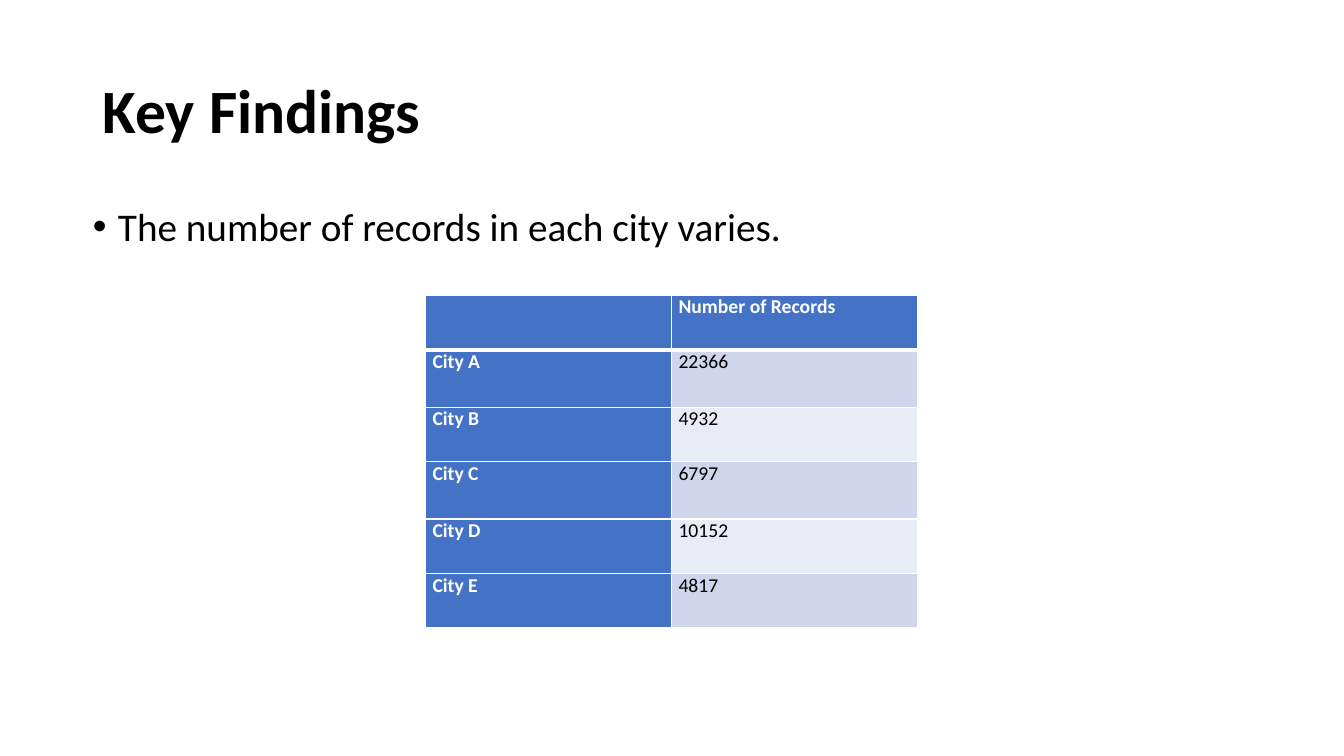
from dataclasses import dataclass

from lxml import etree
from pptx import Presentation
from pptx.dml.color import RGBColor
from pptx.enum.text import MSO_ANCHOR, MSO_AUTO_SIZE, PP_ALIGN
from pptx.oxml.ns import qn
from pptx.util import Inches, Pt

LEFT = PP_ALIGN.LEFT
TOP, MIDDLE = MSO_ANCHOR.TOP, MSO_ANCHOR.MIDDLE
NO_FIT = MSO_AUTO_SIZE.NONE


@dataclass(frozen=True)
class Theme:
    font: str = "Calibri"
    title: int = 44
    body: int = 28
    cell: int = 14
    text: str = "000000"
    white: str = "FFFFFF"
    accent: str = "4472C4"
    bands: tuple = ("CFD5EA", "E9EBF5")


THEME = Theme()
WIDTH, HEIGHT = 13.33, 7.5
TABLE_LEFT, TABLE_TOP, COLUMN = 4.22, 2.93, 2.44
ROWS = (0.54, 0.57, 0.54, 0.57, 0.54, 0.54)
RECORDS = (
    ("", "Number of Records"),
    ("City A", "22366"),
    ("City B", "4932"),
    ("City C", "6797"),
    ("City D", "10152"),
    ("City E", "4817"),
)


def style_runs(p, size, color, bold=False):
    for r in p.runs:
        r.font.name = THEME.font
        r.font.size = Pt(size)
        r.font.bold = bold
        r.font.color.rgb = RGBColor.from_string(color)


def fill_placeholder(sp, box, text, size, anchor, bold=False):
    sp.left, sp.top, sp.width, sp.height = map(Inches, box)
    tf = sp.text_frame
    tf.text = text
    tf.word_wrap = True
    tf.auto_size = NO_FIT
    tf.vertical_anchor = anchor
    p = tf.paragraphs[0]
    p.alignment = LEFT
    p.line_spacing = 0.9
    style_runs(p, size, THEME.text, bold)
    return p


def add_bullet(p, indent):
    p.space_before = Pt(10)
    pPr = p._p.get_or_add_pPr()
    pPr.set("marL", str(Inches(indent)))
    pPr.set("indent", str(-Inches(indent)))
    etree.SubElement(pPr, qn("a:buFont")).set("typeface", "Arial")
    etree.SubElement(pPr, qn("a:buChar")).set("char", "•")


def set_borders(cell, widths):
    tcPr = cell._tc.get_or_add_tcPr()
    for i, (side, width) in enumerate(widths.items()):
        ln = etree.Element(qn(f"a:ln{side}"), w=str(Pt(width)))
        fill = etree.SubElement(ln, qn("a:solidFill"))
        etree.SubElement(fill, qn("a:srgbClr")).set("val", THEME.white)
        tcPr.insert(i, ln)


def style_cell(cell, text, row, col):
    is_header = row == 0 or col == 0
    cell.text = text
    cell.margin_left = cell.margin_right = Inches(0.07)
    cell.margin_top = cell.margin_bottom = 0
    color = THEME.white if is_header else THEME.text
    style_runs(cell.text_frame.paragraphs[0], THEME.cell, color, is_header)
    cell.fill.solid()
    fill = THEME.accent if is_header else THEME.bands[(row - 1) % 2]
    cell.fill.fore_color.rgb = RGBColor.from_string(fill)
    # The rule under the header row is heavier
    top, bottom = (3 if row == 1 else 1), (3 if row == 0 else 1)
    set_borders(cell, {"L": 1, "R": 1, "T": top, "B": bottom})


def add_records_table(slide):
    columns = len(RECORDS[0])
    frame = slide.shapes.add_table(
        len(RECORDS), columns, Inches(TABLE_LEFT), Inches(TABLE_TOP),
        Inches(columns * COLUMN), Inches(sum(ROWS)))
    table = frame.table
    table.first_col = True
    for column in table.columns:
        column.width = Inches(COLUMN)
    for i, (height, values) in enumerate(zip(ROWS, RECORDS)):
        table.rows[i].height = Inches(height)
        for j, value in enumerate(values):
            style_cell(table.cell(i, j), value, i, j)


def main():
    prs = Presentation()
    prs.slide_width, prs.slide_height = Inches(WIDTH), Inches(HEIGHT)
    slide = prs.slides.add_slide(prs.slide_layouts[1])

    # Title and finding
    fill_placeholder(slide.shapes.title, (0.92, 0.4, 11.5, 1.45),
                     "Key Findings", THEME.title, MIDDLE, bold=True)
    p = fill_placeholder(slide.placeholders[1], (0.82, 2.01, 11.5, 4.76),
                         "The number of records in each city varies.",
                         THEME.body, TOP)
    add_bullet(p, 0.25)

    # Records per city
    add_records_table(slide)
    prs.save("out.pptx")


if __name__ == "__main__":
    main()
